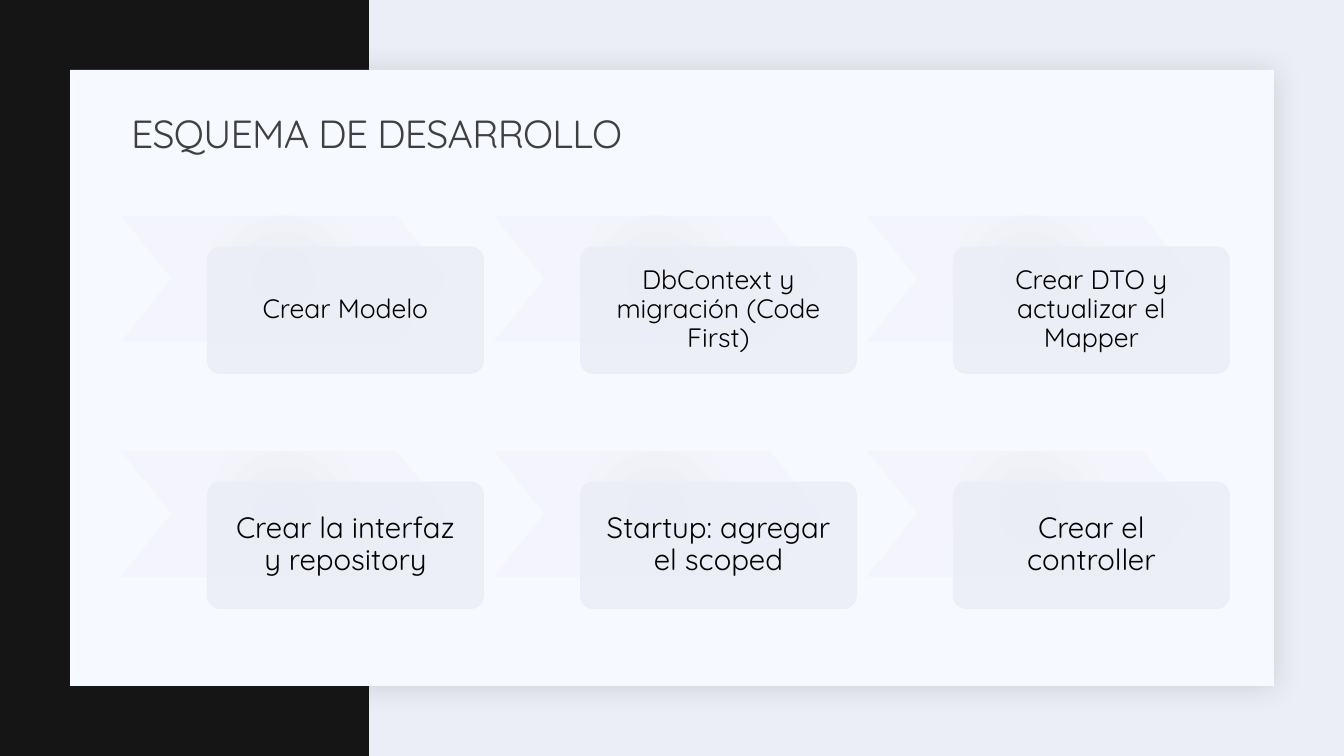
from lxml import etree
from pptx import Presentation
from pptx import util as u
from pptx.dml import color
from pptx.enum import shapes, text
from pptx.oxml import parse_xml
from pptx.oxml.ns import nsdecls, qn

FONT = "Quicksand"
BACK, DARK, PANEL = "ECEEF7", "141514", "F6F9FF"
ROWS = [
    (19, 10.7, ["Crear Modelo", "DbContext y migración (Code First)",
                "Crear DTO y actualizar el Mapper"]),
    (21, 11.4, ["Crear la interfaz y repository", "Startup: agregar el scoped",
                "Crear el controller"]),
]


def rgb(value):
    return color.RGBColor.from_string(value)


def add_preset(page, kind, box, fill=None):
    shape = page.shapes.add_shape(kind, *[u.Pt(length) for length in box])
    shape.shadow.inherit = False
    shape.line.fill.background()
    if fill:
        shape.fill.solid()
        shape.fill.fore_color.rgb = rgb(fill)
    return shape


def write(shape, words, size, hue, align, inset):
    frame = shape.text_frame
    frame.word_wrap = True
    frame.auto_size = text.MSO_AUTO_SIZE.NONE
    frame.vertical_anchor = text.MSO_ANCHOR.MIDDLE
    frame.margin_left = frame.margin_right = u.Pt(inset)
    frame.margin_top = frame.margin_bottom = u.Pt(min(inset, 3.6))
    para = frame.paragraphs[0]
    para.alignment = align
    para.line_spacing = 0.9
    span = para.add_run()
    span.text = words
    span.font.name = FONT
    span.font.size = u.Pt(size)
    span.font.color.rgb = rgb(hue)
    return span


def add_soft_shadow(shape):
    effects = shape._element.spPr.find(qn("a:effectLst"))
    effects.append(parse_xml(
        f'<a:outerShdw {nsdecls("a")} blurRad="{u.Pt(20)}" dist="{u.Pt(2)}" '
        'dir="2700000" algn="tl" rotWithShape="0"><a:srgbClr val="1F2125">'
        '<a:alpha val="15000"/></a:srgbClr></a:outerShdw>'))


def fill_radial(shape, stops):
    marks = "".join(f'<a:gs pos="{place * 1000}"><a:srgbClr val="{hue}"/></a:gs>'
                    for place, hue in stops)
    gradient = parse_xml(
        f'<a:gradFill {nsdecls("a")} rotWithShape="1"><a:gsLst>{marks}</a:gsLst>'
        '<a:path path="circle"><a:fillToRect l="100000" t="100000" '
        'r="100000" b="100000"/></a:path></a:gradFill>')
    shape._element.spPr.find(qn("a:prstGeom")).addnext(gradient)


def add_backdrop(page, box):
    left, top, width, height = box
    page.background.fill.solid()
    page.background.fill.fore_color.rgb = rgb(BACK)
    kind = shapes.MSO_SHAPE.RECTANGLE
    add_preset(page, kind, (left, top, 263.5, height), DARK)
    panel = add_preset(page, kind, (left + 50, top + 50, width - 100, height - 100), PANEL)
    add_soft_shadow(panel)


def add_title(page, box, words):
    title = page.shapes.title
    title.left, title.top, title.width, title.height = [u.Pt(length) for length in box]
    span = write(title, words, 28, "404040", text.PP_ALIGN.LEFT, 7.2)
    span.font._element.set("spc", "-50")
    page.shapes._spTree.append(title._element)


def add_step(page, box, words, size, inset):
    left, top, width, height = box
    chevron = add_preset(page, shapes.MSO_SHAPE.CHEVRON, (left, top, 233, height))
    chevron.adjustments[0] = 0.4
    fill_radial(chevron, [(0, "E9EBF2"), (45, "F2F4FA"), (100, "F4F5FC")])
    card = add_preset(page, shapes.MSO_SHAPE.ROUNDED_RECTANGLE,
                      (left + 62, top + 22.5, width - 62, height), BACK)
    card.adjustments[0] = 0.1
    tint = card._element.spPr.find(qn("a:solidFill"))[0]
    etree.SubElement(tint, qn("a:alpha")).set("val", "90000")
    card.line.color.rgb = rgb(BACK)
    card.line.width = u.Pt(1)
    write(card, words, size, "000000", text.PP_ALIGN.CENTER, inset)


def add_steps(page, box):
    left, top, width, height = box
    step_width, step_height = 258.7, 90
    column_pitch = (width - step_width) / 2
    row_pitch = height - step_height - 22.5
    for row, (size, inset, labels) in enumerate(ROWS):
        for column, words in enumerate(labels):
            place = (left + column * column_pitch, top + row * row_pitch,
                     step_width, step_height)
            add_step(page, place, words, size, inset)


deck = Presentation()
deck.slide_width, deck.slide_height = u.Pt(960), u.Pt(540)
page = deck.slides.add_slide(deck.slide_layouts[5])
add_backdrop(page, (0, 0, 960, 540))
add_title(page, (86.4, 74, 792, 46), "ESQUEMA DE DESARROLLO")
add_steps(page, (86.4, 154, 791.5, 280.5))
deck.save("out.pptx")
